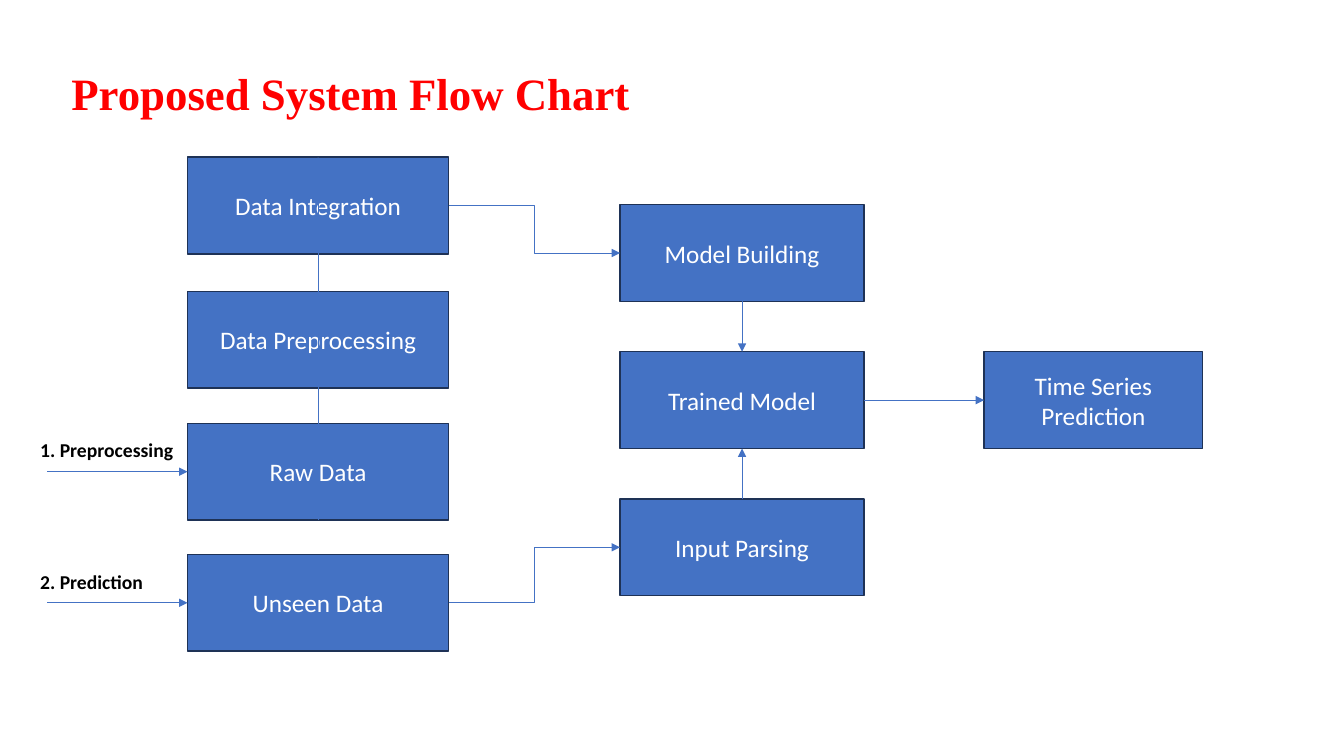
from pptx import Presentation
from pptx.dml.color import RGBColor
from pptx.enum.shapes import MSO_CONNECTOR, MSO_SHAPE
from pptx.enum.text import MSO_ANCHOR, MSO_AUTO_SIZE, PP_ALIGN
from pptx.oxml.ns import qn
from pptx.util import Inches, Pt
from lxml.etree import SubElement

TOP, LEFT, BOTTOM, RIGHT = range(4)


class Flow:
    colors = {"box": "4472C4", "edge": "1E3256", "text": "FFFFFF",
              "title": "FF0000", "label": "000000"}
    font = "Calibri"
    height = 0.96

    def __init__(self, slide):
        self.slide = slide

    def color(self, name):
        return RGBColor.from_string(self.colors[name])

    def add_text(self, frame, text, size, color, bold=False, font=None):
        run = frame.paragraphs[0].add_run()
        run.text = text
        run.font.size = Pt(size)
        run.font.name = font or self.font
        run.font.bold = bold
        run.font.color.rgb = self.color(color)

    def label(self, text, x, y, w, h, size, color, font=None, wrap=True):
        area = self.slide.shapes.add_textbox(
            Inches(x), Inches(y), Inches(w), Inches(h))
        frame = area.text_frame
        frame.word_wrap = wrap
        frame.auto_size = MSO_AUTO_SIZE.SHAPE_TO_FIT_TEXT
        self.add_text(frame, text, size, color, True, font)

    def box(self, text, x, y, w):
        shape = self.slide.shapes.add_shape(
            MSO_SHAPE.RECTANGLE, Inches(x), Inches(y),
            Inches(w), Inches(self.height))
        shape.shadow.inherit = False
        shape.fill.solid()
        shape.fill.fore_color.rgb = self.color("box")
        shape.line.color.rgb = self.color("edge")
        shape.line.width = Pt(1)
        frame = shape.text_frame
        frame.word_wrap = True
        frame.vertical_anchor = MSO_ANCHOR.MIDDLE
        frame.paragraphs[0].alignment = PP_ALIGN.CENTER
        self.add_text(frame, text, 18, "text")
        return shape

    def arrow(self, kind, x, y, target, side):
        line = self.slide.shapes.add_connector(kind, x, y, x, y)
        line.end_connect(target, side)
        line.line.color.rgb = self.color("box")
        line.line.width = Pt(0.5)
        props = line._element.spPr
        SubElement(props.find(qn("a:ln")), qn("a:tailEnd"), type="triangle")
        SubElement(props, qn("a:effectLst"))
        return line

    def link(self, start, out, end, side, kind=MSO_CONNECTOR.STRAIGHT):
        line = self.arrow(kind, start.left, start.top, end, side)
        line.begin_connect(start, out)

    def entry(self, text, target, width):
        y = target.top + target.height // 2
        self.arrow(MSO_CONNECTOR.STRAIGHT, Inches(0.47), y, target, LEFT)
        self.label(text, 0.3, y / Inches(1) - 0.38, width, 0.34, 14, "label")


def main():
    deck = Presentation()
    deck.slide_width, deck.slide_height = Inches(13.33), Inches(7.5)
    flow = Flow(deck.slides.add_slide(deck.slide_layouts[6]))

    flow.label("Proposed System Flow Chart", 0.61, 0.6, 5.9, 0.64, 32,
               "title", "Times New Roman", False)

    merge, clean, raw, unseen = [
        flow.box(text, 1.86, y, 2.59) for text, y in (
            ("Data Integration", 1.56), ("Data Preprocessing", 2.89),
            ("Raw Data", 4.2), ("Unseen Data", 5.5))]
    build, model, parser = [
        flow.box(text, 6.15, 3.49 + 1.46 * row, 2.42)
        for row, text in enumerate(
            ("Model Building", "Trained Model", "Input Parsing"), -1)]
    result = flow.box("Time Series Prediction", 9.76, 3.49, 2.17)

    flow.link(raw, BOTTOM, clean, TOP)
    flow.link(clean, BOTTOM, merge, TOP)
    flow.link(merge, RIGHT, build, LEFT, MSO_CONNECTOR.ELBOW)
    flow.link(unseen, RIGHT, parser, LEFT, MSO_CONNECTOR.ELBOW)
    flow.link(build, BOTTOM, model, TOP)
    flow.link(parser, TOP, model, BOTTOM)
    flow.link(model, RIGHT, result, LEFT)
    flow.entry("1. Preprocessing", raw, 1.55)
    flow.entry("2. Prediction", unseen, 1.45)

    deck.save("out.pptx")


if __name__ == "__main__":
    main()
